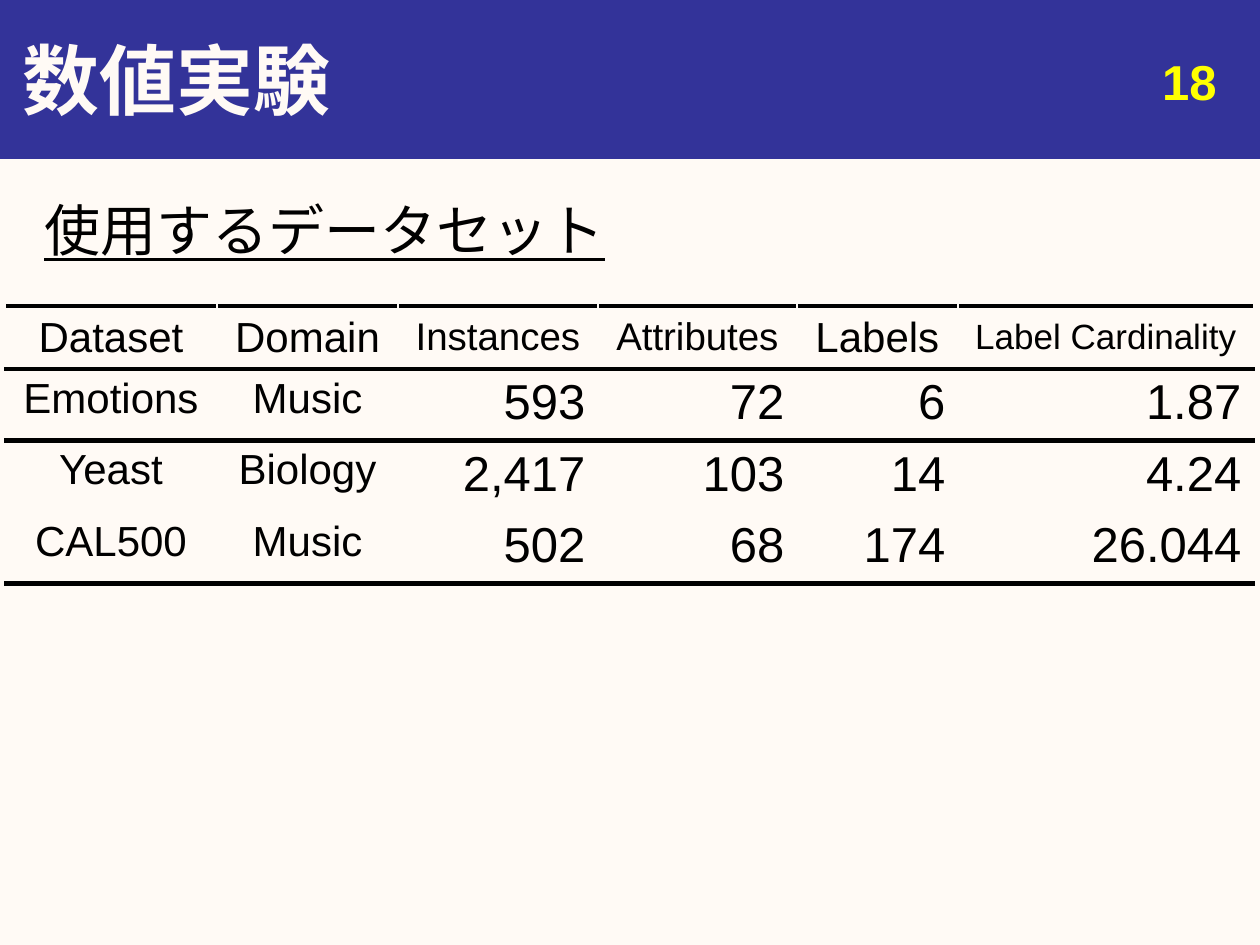
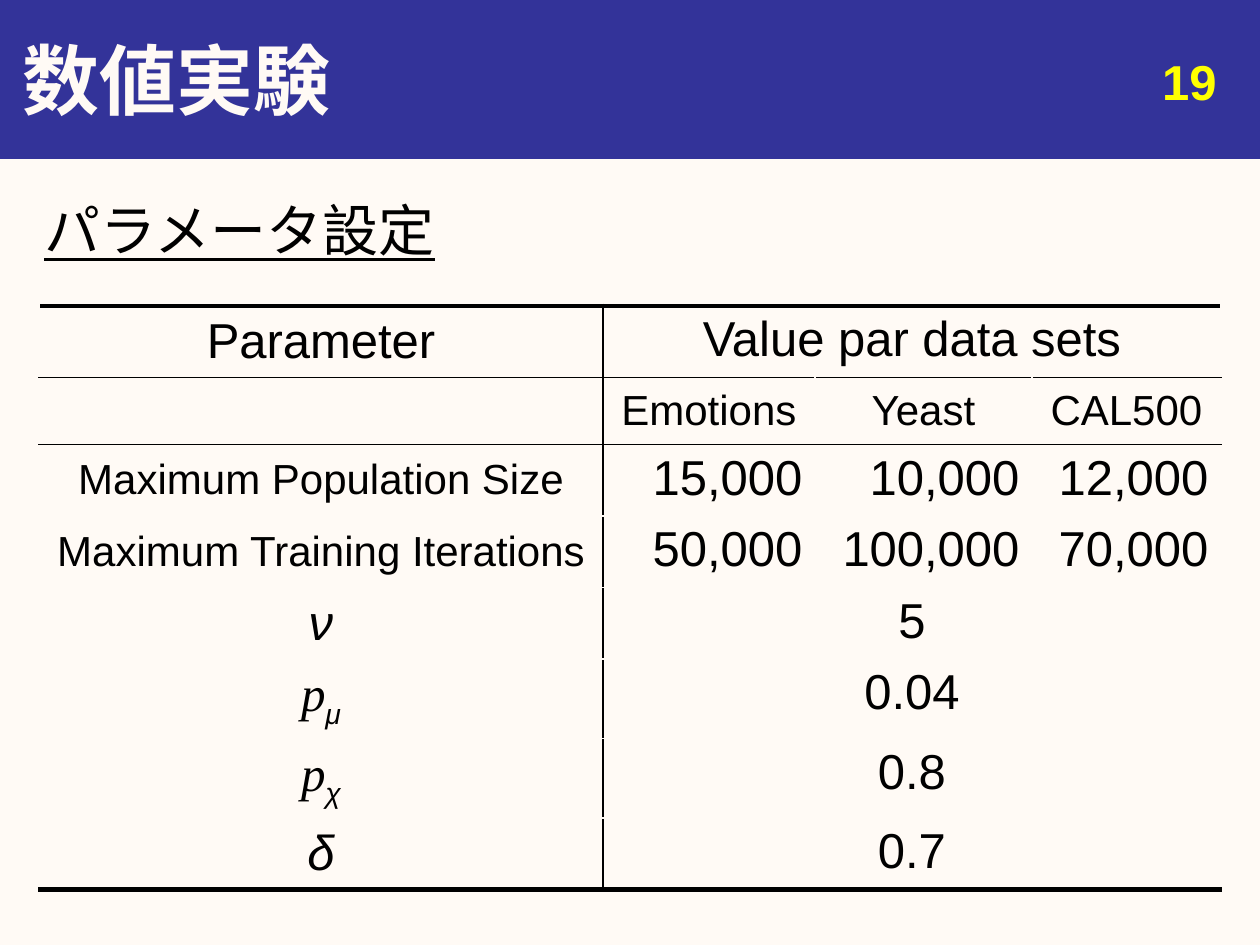
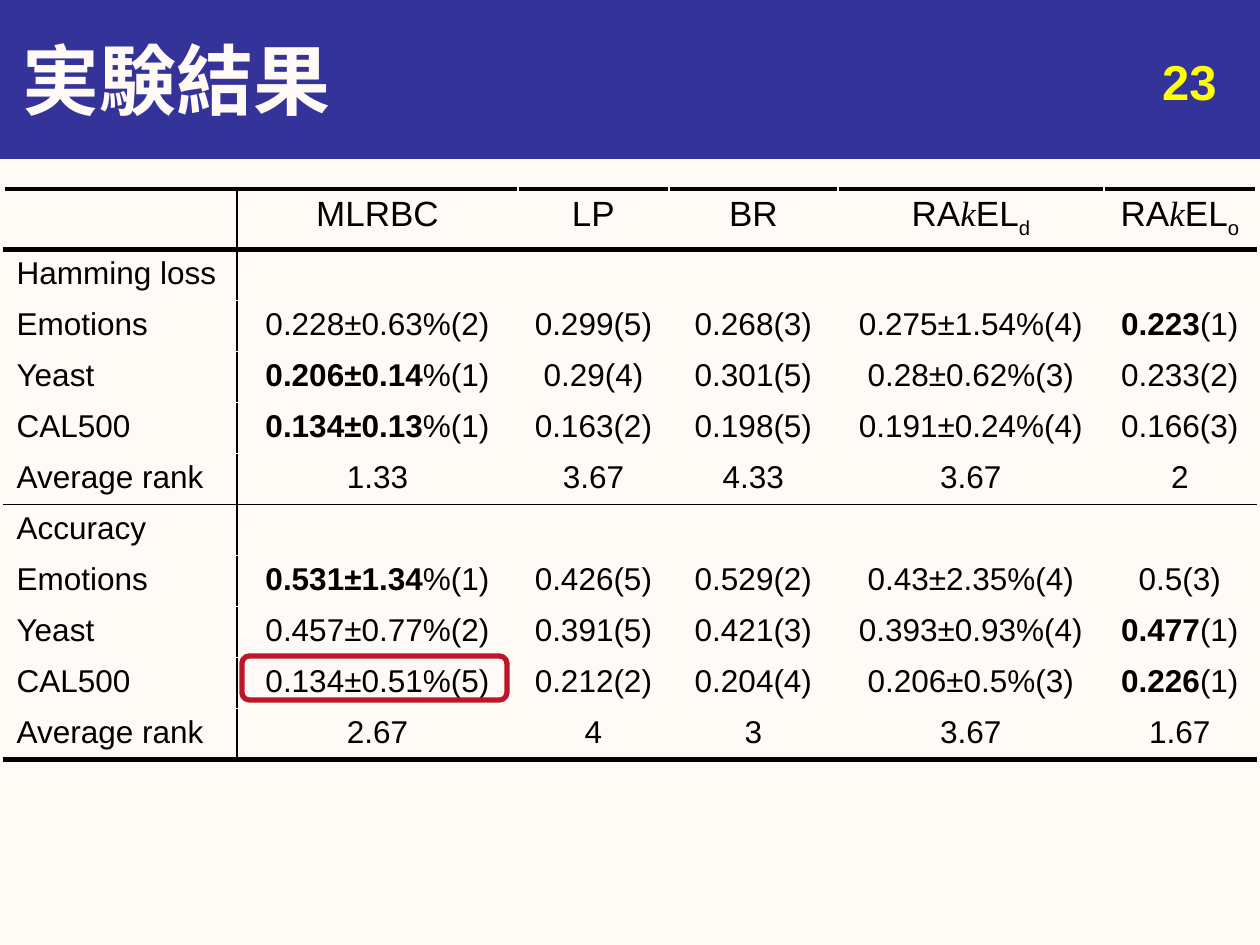
from dataclasses import dataclass, field

from pptx import Presentation
from pptx import util as u
from pptx.dml import color as dml
from pptx.enum import shapes, text
from pptx.oxml import parse_xml
from pptx.oxml import ns

EMU_PER_PX = u.Inches(1) / 126
CREAM, NAVY, BLACK, YELLOW, RED = "FFFAF5", "333399", "000000", "FFFF00", "BD1529"
SANS, SERIF = "Arial", "Times New Roman"
LEFT, CENTER, RIGHT = text.PP_ALIGN.LEFT, text.PP_ALIGN.CENTER, text.PP_ALIGN.RIGHT
MIDDLE, TOP = text.MSO_ANCHOR.MIDDLE, text.MSO_ANCHOR.TOP


@dataclass
class Run:
    text: str
    bold: bool | None = None
    italic: bool | None = None
    font: str | None = None
    subscript: bool = False


@dataclass
class Cell:
    runs: list[Run]
    size: int
    align: int
    span: int = 1


@dataclass
class Grid:
    left: int
    top: int
    columns: list[int]
    heights: list[int]
    rows: list[list[Cell]]
    rules: dict[int, int]
    dividers: dict[int, int] = field(default_factory=dict)
    middle_rows: tuple[int, ...] = ()
    middle_columns: tuple[int, ...] = ()


@dataclass
class Page:
    title: str
    number: int
    grid: Grid
    heading: str = ""


def px(length: int) -> int:
    return round(length * EMU_PER_PX)


def box(*lengths: int) -> list[int]:
    return [px(length) for length in lengths]


def rgb(value: str) -> dml.RGBColor:
    return dml.RGBColor.from_string(value)


def style(paragraph, size: int, color: str, align: int, bold: bool = False) -> None:
    paragraph.alignment = align
    font = paragraph.font
    font.name, font.size, font.bold = SANS, u.Pt(size), bold
    font.color.rgb = rgb(color)


def add_run(paragraph, spec: Run) -> None:
    run = paragraph.add_run()
    run.text = spec.text
    if spec.bold is not None:
        run.font.bold = spec.bold
    if spec.italic is not None:
        run.font.italic = spec.italic
    if spec.font:
        run.font.name = spec.font
    if spec.subscript:
        run._r.get_or_add_rPr().set("baseline", "-25000")


def cells(size: int, align: int, *contents: str | list[Run]) -> list[Cell]:
    return [Cell([Run(content)] if isinstance(content, str) else content, size, align)
            for content in contents]


def best(value: str, rest: str) -> list[Run]:
    return [Run(value, bold=True), Run(rest)]


def rakel(variant: str) -> list[Run]:
    return [Run("RA"), Run("k", italic=True, font=SERIF), Run("EL"),
            Run(variant, subscript=True)]


def probability(index: str) -> list[Run]:
    return [Run("p", italic=True, font=SERIF), Run(index, italic=True, subscript=True)]


def add_border(cell, side: str, width: int | None) -> None:
    color = BLACK if width else CREAM
    cell._tc.get_or_add_tcPr().append(parse_xml(
        f'<a:ln{side} {ns.nsdecls("a")} w="{u.Pt(width or 1)}"><a:solidFill>'
        f'<a:srgbClr val="{color}"/></a:solidFill></a:ln{side}>'))


def draw_grid(slide, grid: Grid) -> None:
    frame = slide.shapes.add_table(
        len(grid.heights), len(grid.columns),
        *box(grid.left, grid.top, sum(grid.columns), sum(grid.heights)))
    table = frame.table
    table.first_row = table.horz_banding = False
    for column, width in zip(table.columns, grid.columns):
        column.width = px(width)
    for row, height in zip(table.rows, grid.heights):
        row.height = px(height)
    for r in range(len(grid.heights)):
        for c in range(len(grid.columns)):
            cell = table.cell(r, c)
            add_border(cell, "L", grid.dividers.get(c))
            add_border(cell, "R", grid.dividers.get(c + 1))
            add_border(cell, "T", grid.rules.get(r))
            add_border(cell, "B", grid.rules.get(r + 1))
            cell.fill.background()
            in_middle = r in grid.middle_rows or c in grid.middle_columns
            cell.vertical_anchor = MIDDLE if in_middle else TOP
        for c, spec in enumerate(grid.rows[r]):
            cell = table.cell(r, c)
            if spec.span > 1:
                cell.merge(table.cell(r, c + spec.span - 1))
            paragraph = cell.text_frame.paragraphs[0]
            style(paragraph, spec.size, BLACK, spec.align)
            for run in spec.runs:
                if run.text:
                    add_run(paragraph, run)


def add_label(slide, place: list[int], words: str):
    frame = slide.shapes.add_textbox(*place).text_frame
    frame.word_wrap = True
    paragraph = frame.paragraphs[0]
    paragraph.text = words
    return paragraph


def add_band(master, slide) -> None:
    band = slide.shapes.add_shape(shapes.MSO_SHAPE.RECTANGLE, *box(0, 0, 1260, 158))
    band.shadow.inherit = False
    band.fill.solid()
    band.fill.fore_color.rgb = rgb(NAVY)
    band.line.color.rgb = rgb(NAVY)
    band.line.width = u.Pt(0.75)
    band._element.nvSpPr.cNvPr.set("id", "20")
    master.shapes._spTree.insert(2, band._element)


def draw_page(slide, page: Page) -> None:
    title = slide.shapes.title
    title.left, title.top, title.width, title.height = box(10, 0, 1250, 158)
    title.text_frame.text = page.title
    title.text_frame.vertical_anchor = MIDDLE
    style(title.text_frame.paragraphs[0], 44, CREAM, LEFT, bold=True)
    if page.heading:
        heading = add_label(slide, box(32, 189, 1197, 714), page.heading)
        style(heading, 32, BLACK, text.PP_ALIGN.JUSTIFY)
        heading.font.underline = True
    number = add_label(slide, box(935, 45, 294, 66), str(page.number))
    style(number, 28, YELLOW, RIGHT, bold=True)
    draw_grid(slide, page.grid)


def add_highlight(slide) -> None:
    highlight = slide.shapes.add_shape(
        shapes.MSO_SHAPE.ROUNDED_RECTANGLE, *box(242, 656, 265, 44))
    highlight.shadow.inherit = False
    highlight.fill.background()
    highlight.line.color.rgb = rgb(RED)
    highlight.line.width = u.Pt(3)


DATASETS = [
    ("Emotions", "Music", "593", "72", "6", "1.87"),
    ("Yeast", "Biology", "2,417", "103", "14", "4.24"),
    ("CAL500", "Music", "502", "68", "174", "26.044"),
]
LIMITS = [
    ("Maximum Population Size", "15,000", "10,000", "12,000"),
    ("Maximum Training Iterations", "50,000", "100,000", "70,000"),
]
CONSTANTS = [
    ([Run("ν", italic=True)], "5"),
    (probability("μ"), "0.04"),
    (probability("χ"), "0.8"),
    ([Run("δ", italic=True)], "0.7"),
]
RESULTS = [
    ("Hamming loss", "", "", "", "", ""),
    ("Emotions", "0.228±0.63%(2)", "0.299(5)", "0.268(3)", "0.275±1.54%(4)",
     best("0.223", "(1)")),
    ("Yeast", best("0.206±0.14", "%(1)"), "0.29(4)", "0.301(5)", "0.28±0.62%(3)", "0.233(2)"),
    ("CAL500", best("0.134±0.13", "%(1)"), "0.163(2)", "0.198(5)", "0.191±0.24%(4)",
     "0.166(3)"),
    ("Average rank", "1.33", "3.67", "4.33", "3.67", "2"),
    ("Accuracy", "", "", "", "", ""),
    ("Emotions", best("0.531±1.34", "%(1)"), "0.426(5)", "0.529(2)", "0.43±2.35%(4)",
     "0.5(3)"),
    ("Yeast", "0.457±0.77%(2)", "0.391(5)", "0.421(3)", "0.393±0.93%(4)",
     best("0.477", "(1)")),
    ("CAL500", "0.134±0.51%(5)", "0.212(2)", "0.204(4)", "0.206±0.5%(3)",
     best("0.226", "(1)")),
    ("Average rank", "2.67", "4", "3", "3.67", "1.67"),
]

dataset_grid = Grid(
    5, 306, [212, 181, 200, 199, 161, 296], [61, 67, 67, 67],
    [cells(24, CENTER, "Dataset", "Domain") + cells(22, CENTER, "Instances", "Attributes")
     + cells(24, CENTER, "Labels") + cells(20, CENTER, "Label Cardinality")]
    + [cells(24, CENTER, name, domain) + cells(28, RIGHT, *counts)
       for name, domain, *counts in DATASETS],
    rules={0: 3, 1: 3, 2: 3, 4: 3}, middle_rows=(0,))

parameter_grid = Grid(
    39, 306, [564, 212, 217, 189], [67, 67, 67, 67, 67, 75, 75, 67],
    [cells(28, CENTER, "Parameter") + [Cell([Run("Value par data sets")], 28, CENTER, 3)],
     cells(24, CENTER, "", "Emotions", "Yeast", "CAL500")]
    + [cells(24, CENTER, name) + cells(28, RIGHT, *limits) for name, *limits in LIMITS]
    + [[Cell(symbol, 28, CENTER), Cell([Run(value)], 28, CENTER, 3)]
       for symbol, value in CONSTANTS],
    rules={0: 3, 1: 1, 2: 1, 8: 3}, dividers={1: 1},
    middle_rows=(1,), middle_columns=(0,))

result_grid = Grid(
    4, 189, [233, 281, 151, 169, 266, 152], [58] + [51] * len(RESULTS),
    [cells(20, CENTER, "", "MLRBC", "LP", "BR", rakel("d"), rakel("o"))]
    + [cells(18, LEFT, name) + cells(18, CENTER, *scores) for name, *scores in RESULTS],
    rules={0: 3, 1: 3, 6: 1, 11: 3}, dividers={1: 1})

PAGES = [
    Page("数値実験", 18, dataset_grid, "使用するデータセット"),
    Page("数値実験", 19, parameter_grid, "パラメータ設定"),
    Page("実験結果", 23, result_grid),
]


def main() -> None:
    prs = Presentation()
    prs.slide_width, prs.slide_height = box(1260, 945)
    master = prs.slide_master
    master.background.fill.solid()
    master.background.fill.fore_color.rgb = rgb(CREAM)
    title_only = prs.slide_layouts[5]
    slides = [prs.slides.add_slide(title_only) for _ in PAGES]
    add_band(master, slides[0])
    for slide, page in zip(slides, PAGES):
        draw_page(slide, page)
    add_highlight(slides[-1])
    prs.save("out.pptx")


if __name__ == "__main__":
    main()
